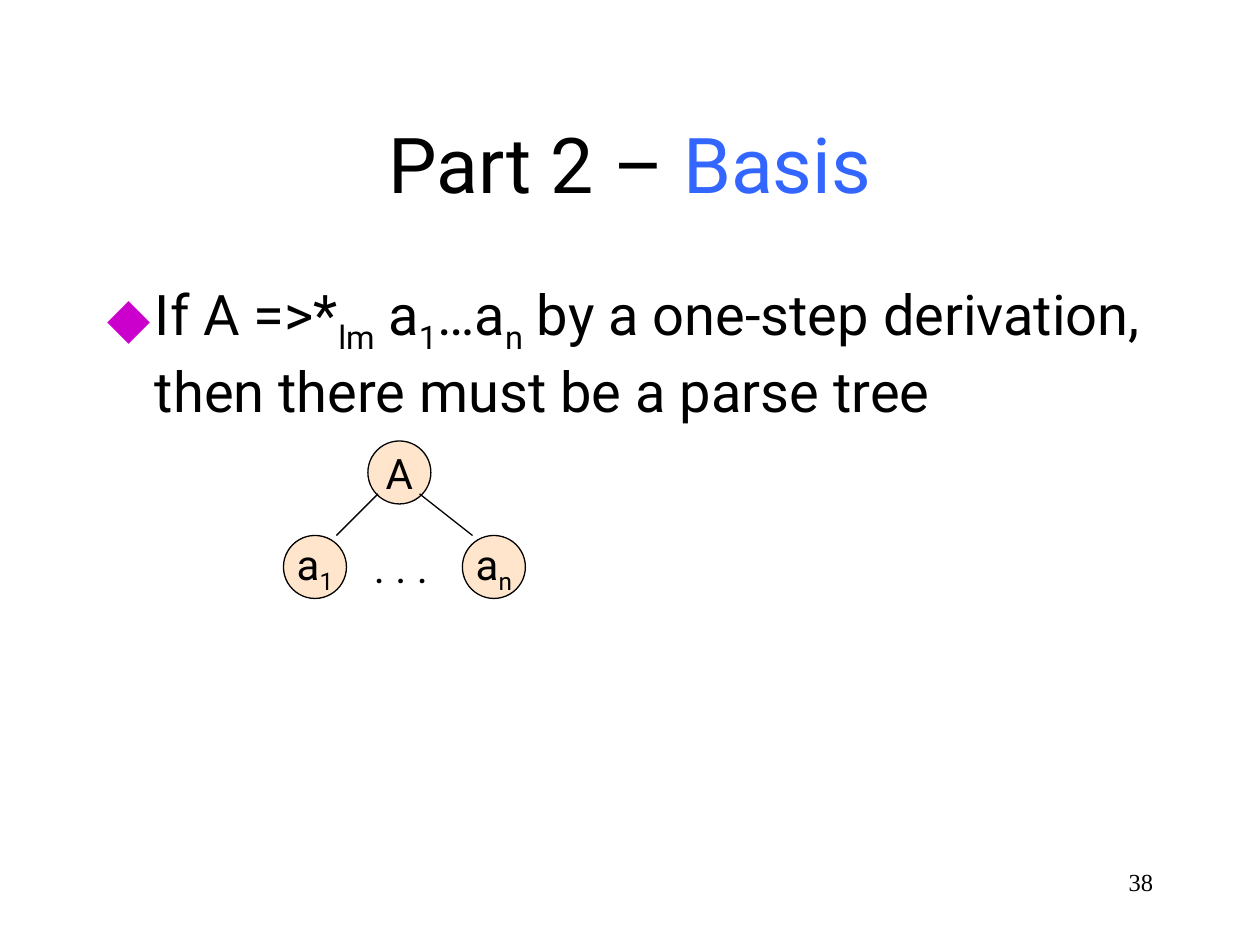
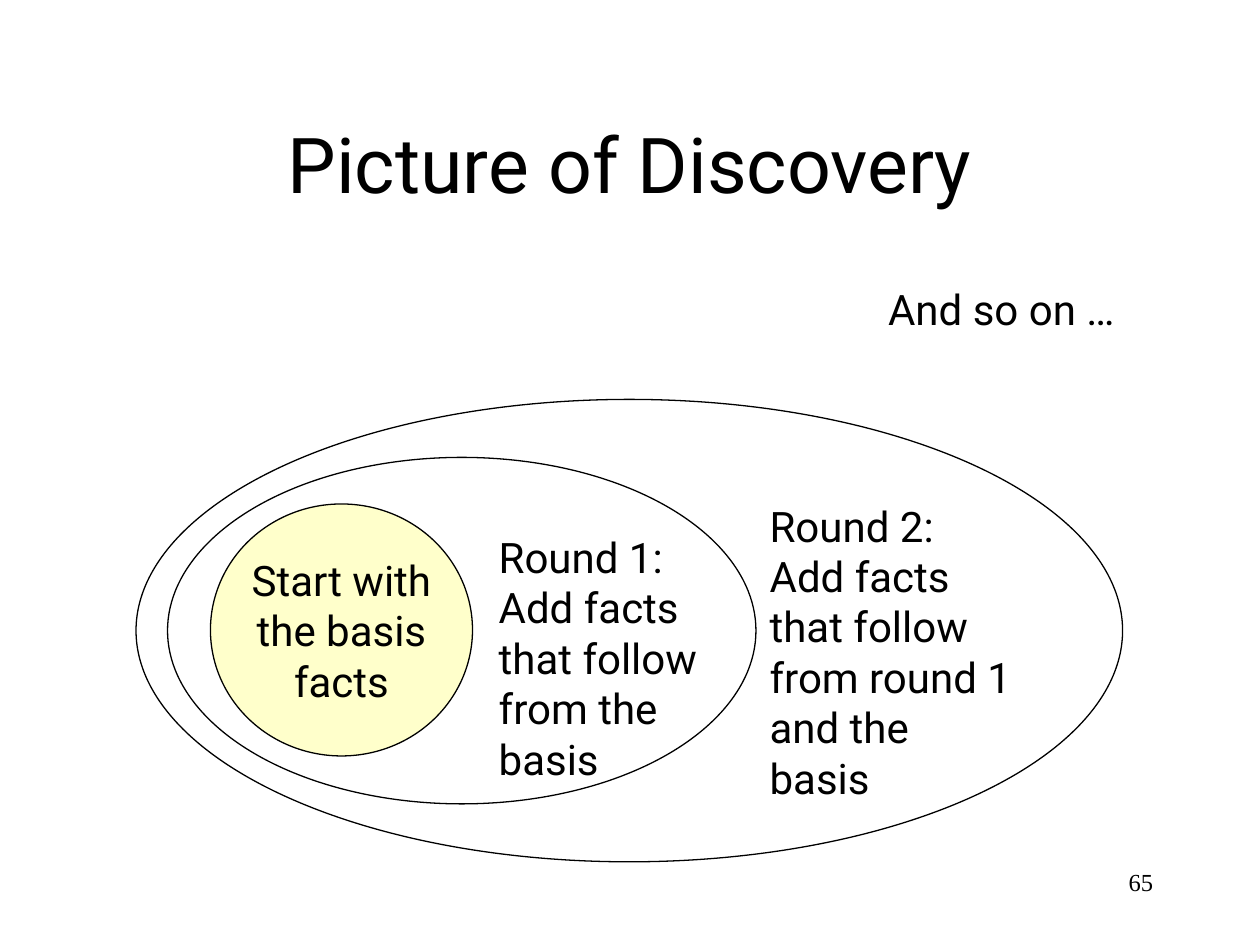
from dataclasses import dataclass
from typing import Optional

import lxml.etree
import pptx
import pptx.dml.color
import pptx.enum.shapes
import pptx.enum.text
import pptx.oxml
import pptx.oxml.ns
import pptx.util

Inches = pptx.util.Inches
Pt = pptx.util.Pt
RGBColor = pptx.dml.color.RGBColor
Align = pptx.enum.text.PP_ALIGN
Anchor = pptx.enum.text.MSO_ANCHOR
AutoSize = pptx.enum.text.MSO_AUTO_SIZE
qn = pptx.oxml.ns.qn

# Shared style
BLACK = RGBColor(0x00, 0x00, 0x00)
BLUE = RGBColor(0x33, 0x66, 0xFF)
PURPLE = RGBColor(0xCC, 0x00, 0xCC)
PEACH = RGBColor(0xFF, 0xCC, 0x99)
YELLOW = RGBColor(0xFF, 0xFF, 0x99)
MAIN_FONT = "Roboto"
NUMBER_FONT = "Times New Roman"
LINE_WIDTH = Pt(0.75)
TITLE_AT = (0.75, 0.67, 8.5, 1.25)
BODY_AT = (0.75, 2.17, 8.5, 4.5)
NUMBER_AT = (7.17, 6.83, 2.08, 0.5)
BULLET_INDENT = 0.38
NODE_SIZE = 0.5


@dataclass(frozen=True)
class Span:
    text: str
    color: RGBColor = BLACK
    subscript: bool = False


@dataclass(frozen=True)
class Oval:
    at: tuple
    lines: tuple = ()
    fill: Optional[RGBColor] = None


@dataclass(frozen=True)
class Label:
    at: tuple
    lines: tuple


def sub(text: str) -> Span:
    return Span(text, subscript=True)


def line(text: str) -> tuple:
    return (Span(text),)


def lines_of(*texts: str) -> tuple:
    return tuple(line(text) for text in texts)


def place(shape, at: tuple) -> None:
    shape.left, shape.top, shape.width, shape.height = map(Inches, at)


def write_text(frame, lines: tuple, *, size: float = 24, font: str = MAIN_FONT,
               align=Align.LEFT, anchor=Anchor.TOP, wrap: bool = False,
               grow: bool = False) -> None:
    """Fill a text frame; each line is a tuple of spans."""
    frame.word_wrap = wrap
    frame.auto_size = AutoSize.SHAPE_TO_FIT_TEXT if grow else AutoSize.NONE
    frame.vertical_anchor = anchor
    for index, spans in enumerate(lines):
        para = frame.paragraphs[0] if index == 0 else frame.add_paragraph()
        para.alignment = align
        para.space_before = Pt(0)
        for part in spans:
            span = para.add_run()
            span.text = part.text
            span.font.name = font
            span.font.size = Pt(size)
            span.font.color.rgb = part.color
            if part.subscript:
                span._r.get_or_add_rPr().set("baseline", "-25000")


def add_bullet(para, symbol: str, color: RGBColor) -> None:
    props = para._p.get_or_add_pPr()
    props.set("marL", str(Inches(BULLET_INDENT)))
    props.set("indent", str(-Inches(BULLET_INDENT)))
    bullet_color = lxml.etree.SubElement(props, qn("a:buClr"))
    lxml.etree.SubElement(bullet_color, qn("a:srgbClr"), val=str(color))
    lxml.etree.SubElement(props, qn("a:buFont"), typeface=MAIN_FONT)
    lxml.etree.SubElement(props, qn("a:buChar"), char=symbol)


def add_label(page, label: Label) -> None:
    box = page.shapes.add_textbox(*map(Inches, label.at))
    write_text(box.text_frame, label.lines, grow=True)


def add_oval(page, oval: Oval) -> None:
    shape = page.shapes.add_shape(
        pptx.enum.shapes.MSO_SHAPE.OVAL, *map(Inches, oval.at))
    shape.shadow.inherit = False
    shape.line.color.rgb = BLACK
    shape.line.width = LINE_WIDTH
    if oval.fill is None:
        shape.fill.background()
    else:
        shape.fill.solid()
        shape.fill.fore_color.rgb = oval.fill
        color = shape._element.spPr.find(qn("a:solidFill")).find(qn("a:srgbClr"))
        lxml.etree.SubElement(color, qn("a:alpha"), val="50000")
    if oval.lines:
        write_text(shape.text_frame, oval.lines, align=Align.CENTER,
                   anchor=Anchor.MIDDLE)


def add_branch(page, start: tuple, end: tuple) -> None:
    branch = page.shapes.add_connector(
        pptx.enum.shapes.MSO_CONNECTOR.STRAIGHT, *map(Inches, start + end))
    branch.line.color.rgb = BLACK
    branch.line.width = LINE_WIDTH
    lxml.etree.SubElement(branch._element.spPr, qn("a:effectLst"))


def add_page(deck, layout: int, title: tuple, number: int):
    """Add a slide with its title and page number."""
    page = deck.slides.add_slide(deck.slide_layouts[layout])
    place(page.shapes.title, TITLE_AT)
    write_text(page.shapes.title.text_frame, (title,), size=44,
               align=Align.CENTER, anchor=Anchor.MIDDLE, wrap=True)
    box = page.shapes.add_textbox(*map(Inches, NUMBER_AT))
    write_text(box.text_frame, lines_of(str(number)), size=14,
               font=NUMBER_FONT, align=Align.RIGHT, wrap=True)
    return page


def build_basis(deck) -> None:
    page = add_page(deck, 1, (Span("Part 2 – "), Span("Basis", BLUE)), 38)

    # Statement
    body = page.placeholders[1]
    place(body, BODY_AT)
    statement = (
        Span("If A =>*"), sub("lm"), Span(" a"), sub("1"), Span("…a"), sub("n"),
        Span(" by a one-step derivation, then there must be a parse tree"))
    add_bullet(body.text_frame.paragraphs[0], "◆", PURPLE)
    write_text(body.text_frame, (statement,), size=32, wrap=True)

    # Parse tree
    nodes = (
        (2.92, 3.5, line("A")),
        (2.25, 4.25, (Span("a"), sub("1"))),
        (3.67, 4.25, (Span("a"), sub("n"))),
    )
    for left, top, name in nodes:
        add_oval(page, Oval((left, top, NODE_SIZE, NODE_SIZE), (name,), PEACH))
    add_label(page, Label((2.87, 4.25, 0.64, 0.5), lines_of(". . .")))
    for start_x, end_x in ((3, 2.67), (3.33, 3.75)):
        add_branch(page, (start_x, 3.92), (end_x, 4.25))


def build_discovery(deck) -> None:
    page = add_page(deck, 5, line("Picture of Discovery"), 65)

    # Nested sets of facts
    ovals = (
        Oval((1.67, 4, 2.08, 2),
             lines_of("Start with", "the basis", "facts"), YELLOW),
        Oval((1.33, 3.63, 4.67, 2.75)),
        Oval((1.08, 3.17, 7.83, 3.67)),
    )
    for oval in ovals:
        add_oval(page, oval)

    # Rounds
    labels = (
        Label((3.86, 4.17, 1.87, 2.1),
              lines_of("Round 1:", "Add facts", "that follow", "from the",
                       "basis")),
        Label((6.01, 3.92, 2.28, 2.5),
              lines_of("Round 2:", "Add facts", "that follow", "from round 1",
                       "and the", "basis")),
        Label((6.95, 2.2, 2.11, 0.5), lines_of("And so on …")),
    )
    for label in labels:
        add_label(page, label)


def main() -> None:
    deck = pptx.Presentation()
    deck.slide_width, deck.slide_height = Inches(10), Inches(7.5)
    build_basis(deck)
    build_discovery(deck)
    deck.save("out.pptx")


if __name__ == "__main__":
    main()
